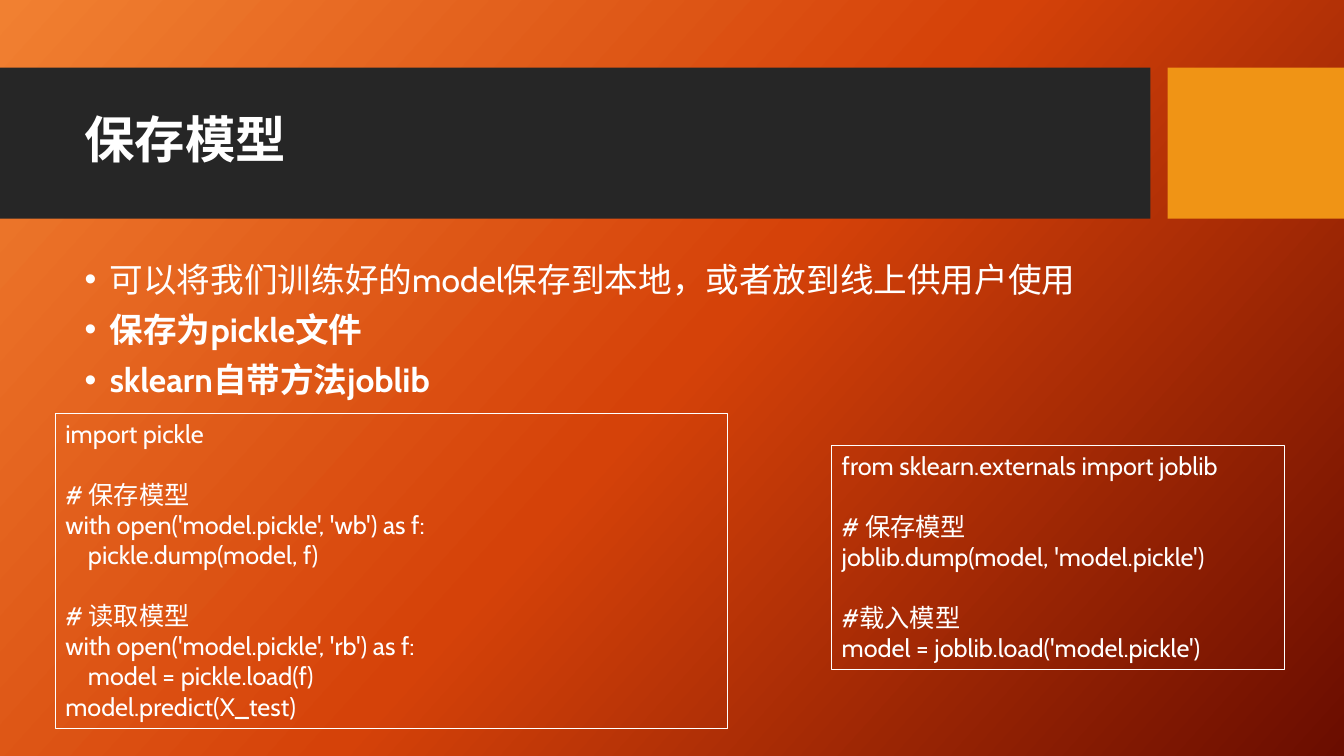
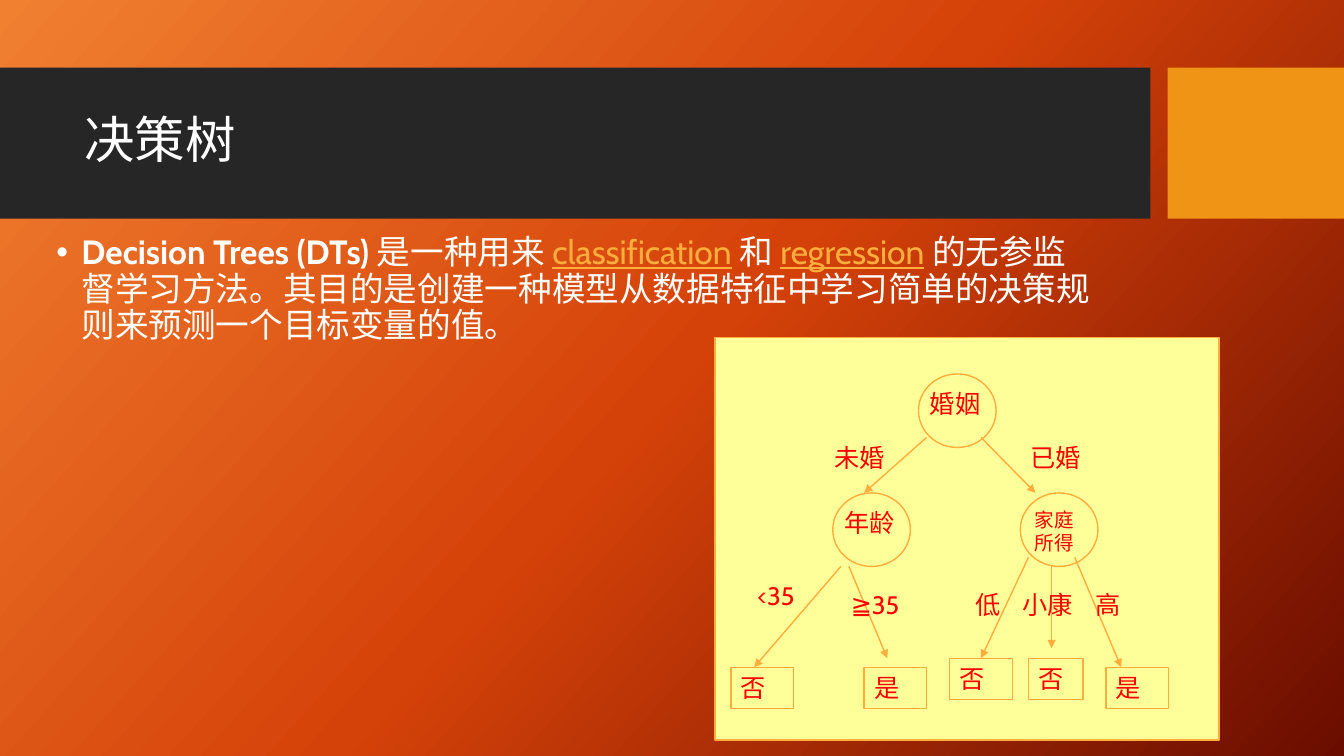
from copy import deepcopy

from pptx import Presentation
from pptx.dml.color import RGBColor
from pptx.enum.shapes import MSO_CONNECTOR, MSO_SHAPE
from pptx.enum.text import MSO_ANCHOR, PP_ALIGN
from pptx.oxml.ns import qn
from pptx.oxml.xmlchemy import OxmlElement
from pptx.util import Inches, Pt

RECT, OVAL = MSO_SHAPE.RECTANGLE, MSO_SHAPE.OVAL
STRAIGHT = MSO_CONNECTOR.STRAIGHT
TOP, MIDDLE = MSO_ANCHOR.TOP, MSO_ANCHOR.MIDDLE
LEFT = PP_ALIGN.LEFT

FONT = "Cabin"
COLORS = {
    "glow": "F18031", "flame": "D54209", "ember": "6A0D00",
    "band": "262626", "accent": "F09415", "text": "FFFFFF",
    "link": "FFAE3E", "panel": "FFFF99", "label": "FF0000",
}
CODE_GAP = Pt(21.8)  # one blank line of 18 pt code

PICKLE_CODE = [
    ["import pickle"],
    ["# 保存模型", "with open('model.pickle', 'wb') as f:", "    pickle.dump(model, f)"],
    ["# 读取模型", "with open('model.pickle', 'rb') as f:",
     "    model = pickle.load(f)", "model.predict(X_test)"],
]
JOBLIB_CODE = [
    ["from sklearn.externals import joblib"],
    ["# 保存模型", "joblib.dump(model, 'model.pickle')"],
    ["#载入模型", "model = joblib.load('model.pickle')"],
]

# Tree parts, in inches from the top left corner of the panel
NODE_SIZE = (0.77, 0.73)
NODES = [  # x, y, lines, size, left inset
    (2.02, 0.36, ["婚姻"], 18, 0),
    (1.17, 1.54, ["年龄"], 18, 0),
    (3.03, 1.54, ["家庭", "所得"], 14, 0.03),
]
LEAF_HEIGHT = 0.41
LEAVES = [  # x, y, width, text
    (0.16, 3.27, 0.62, "否"), (1.48, 3.27, 0.62, "是"), (2.33, 3.18, 0.62, "否"),
    (3.11, 3.18, 0.54, "否"), (3.88, 3.27, 0.62, "是"),
]
BRANCHES = [  # from x, from y, to x, to y
    (2.1, 0.99, 1.48, 1.54), (2.64, 0.99, 3.18, 1.54),
    (1.25, 2.27, 0.39, 3.27), (1.33, 2.27, 1.71, 3.18),
    (3.11, 2.18, 2.64, 3.18), (3.34, 2.27, 3.34, 3.08), (3.57, 2.18, 4.03, 3.27),
]
BRANCH_LABELS = [  # x, y, text
    (1.09, 0.99, "未婚"), (3.03, 0.99, "已婚"), (0.32, 2.36, "<35"),
    (1.25, 2.45, "≧35"), (2.49, 2.45, "低"), (2.95, 2.45, "小康"), (3.68, 2.45, "高"),
]


def rgb(name):
    return RGBColor.from_string(COLORS[name])


def style_run(r, size, color="text", bold=False, underline=False):
    f = r.font
    f.name, f.size, f.bold, f.underline = FONT, Pt(size), bold, underline
    f.color.rgb = rgb(color)


def write_lines(tf, lines, size, color):
    tf.word_wrap = True
    tf.vertical_anchor = TOP
    tf.text = "\n".join(lines)
    for p in tf.paragraphs:
        p.alignment = LEFT
        for r in p.runs:
            style_run(r, size, color)


def add_box(shapes, kind, x, y, w, h, fill=None, line=None, weight=1):
    sp = shapes.add_shape(kind, Inches(x), Inches(y), Inches(w), Inches(h))
    sp.shadow.inherit = False
    if fill:
        sp.fill.solid()
        sp.fill.fore_color.rgb = rgb(fill)
    else:
        sp.fill.background()
    if line:
        sp.line.color.rgb = rgb(line)
        sp.line.width = Pt(weight)
    else:
        sp.line.fill.background()
    return sp


def add_textbox(shapes, x, y, w, h):
    tf = shapes.add_textbox(Inches(x), Inches(y), Inches(w), Inches(h)).text_frame
    tf.word_wrap = True
    return tf


def add_arrow(shapes, x1, y1, x2, y2):
    c = shapes.add_connector(STRAIGHT, Inches(x1), Inches(y1), Inches(x2), Inches(y2))
    c.line.color.rgb = rgb("link")
    c.line.width = Pt(1)
    tail = OxmlElement("a:tailEnd")
    tail.set("type", "triangle")
    spPr = c.element.spPr
    spPr.find(qn("a:ln")).append(tail)
    spPr.append(OxmlElement("a:effectLst"))


def paint_background(master):
    fill = master.background.fill
    fill.gradient()
    fill.gradient_angle = 360 - 42
    stops = master.element.find(".//" + qn("p:bgPr")).find(".//" + qn("a:gsLst"))
    stops.insert(1, deepcopy(stops[0]))
    for stop, color, place in zip(fill.gradient_stops, ("glow", "flame", "ember"), (0, 0.5, 1)):
        stop.color.rgb = rgb(color)
        stop.position = place


def add_titled_slide(prs, title, bold=False):
    s = prs.slides.add_slide(prs.slide_layouts[6])
    add_box(s.shapes, RECT, 0, 0.67, 11.41, 1.5, "band")
    add_box(s.shapes, RECT, 11.58, 0.67, 1.75, 1.5, "accent")
    tf = add_textbox(s.shapes, 0.74, 0.82, 10.51, 1.18)
    tf.vertical_anchor = MIDDLE
    tf.text = title
    p = tf.paragraphs[0]
    p.line_spacing = 0.9
    style_run(p.runs[0], 36, bold=bold)
    return s


def add_bullets(s, x, y, w, h, bullets):
    """Each bullet is a list of (text, style keywords) runs."""
    tf = add_textbox(s.shapes, x, y, w, h)
    for i, runs in enumerate(bullets):
        p = tf.add_paragraph() if i else tf.paragraphs[0]
        p.line_spacing = 0.9
        if i:
            p.space_before = Pt(10)
        pPr = p._p.get_or_add_pPr()
        pPr.set("marL", str(Inches(0.25)))
        pPr.set("indent", str(-Inches(0.25)))
        for tag, key, value in (("a:buFont", "typeface", "Arial"), ("a:buChar", "char", "•")):
            mark = OxmlElement(tag)
            mark.set(key, value)
            pPr.append(mark)
        for text, style in runs:
            r = p.add_run()
            r.text = text
            style_run(r, 24, **style)


def add_code(s, x, y, w, h, blocks):
    """Framed code whose blocks are set apart by one line."""
    tf = add_box(s.shapes, RECT, x, y, w, h, line="text", weight=0.75).text_frame
    write_lines(tf, [line for block in blocks for line in block], 18, "text")
    start = 0
    for block in blocks[:-1]:
        start += len(block)
        tf.paragraphs[start].space_before = CODE_GAP


def add_decision_tree(s, x, y, w, h):
    shapes = s.shapes.add_group_shape().shapes
    add_box(shapes, RECT, x, y, w, h, "panel", "link")
    for dx, dy, lines, size, inset in NODES:
        tf = add_box(shapes, OVAL, x + dx, y + dy, *NODE_SIZE, line="link").text_frame
        tf.margin_left, tf.margin_top = Inches(inset), Inches(0.04)
        tf.margin_right = tf.margin_bottom = 0
        write_lines(tf, lines, size, "label")
    for dx, dy, width, text in LEAVES:
        leaf = add_box(shapes, RECT, x + dx, y + dy, width, LEAF_HEIGHT, line="link")
        write_lines(leaf.text_frame, [text], 18, "label")
    for x1, y1, x2, y2 in BRANCHES:
        add_arrow(shapes, x + x1, y + y1, x + x2, y + y2)
    for dx, dy, text in BRANCH_LABELS:
        write_lines(add_textbox(shapes, x + dx, y + dy, 0.78, 0.4), [text], 18, "label")


def build_saving_slide(prs):
    s = add_titled_slide(prs, "保存模型", bold=True)
    add_bullets(s, 0.74, 2.56, 10.51, 1.5, [
        [("可以将我们训练好的model保存到本地，或者放到线上供用户使用", {})],
        [("保存为pickle文件", {"bold": True})],
        [("sklearn自带方法joblib", {"bold": True})],
    ])
    add_code(s, 0.55, 4.1, 6.67, 3.13, PICKLE_CODE)
    add_code(s, 8.25, 4.42, 4.49, 2.22, JOBLIB_CODE)


def build_tree_slide(prs):
    s = add_titled_slide(prs, "决策树")
    link = {"color": "link", "underline": True}
    add_bullets(s, 0.46, 2.29, 10.51, 1.2, [[
        ("Decision Trees (DTs) ", {"bold": True}),
        ("是一种用来 ", {}),
        ("classification", link),
        (" 和 ", {}),
        ("regression", link),
        (" 的无参监督学习方法。其目的是创建一种模型从数据特征中学习简单的决策规则来预测一个目标变量的值。", {}),
    ]])
    add_decision_tree(s, 7.09, 3.35, 5, 3.99)


def main():
    prs = Presentation()
    prs.slide_width, prs.slide_height = Inches(13.33), Inches(7.5)
    paint_background(prs.slide_master)
    build_saving_slide(prs)
    build_tree_slide(prs)
    prs.save("out.pptx")


if __name__ == "__main__":
    main()
